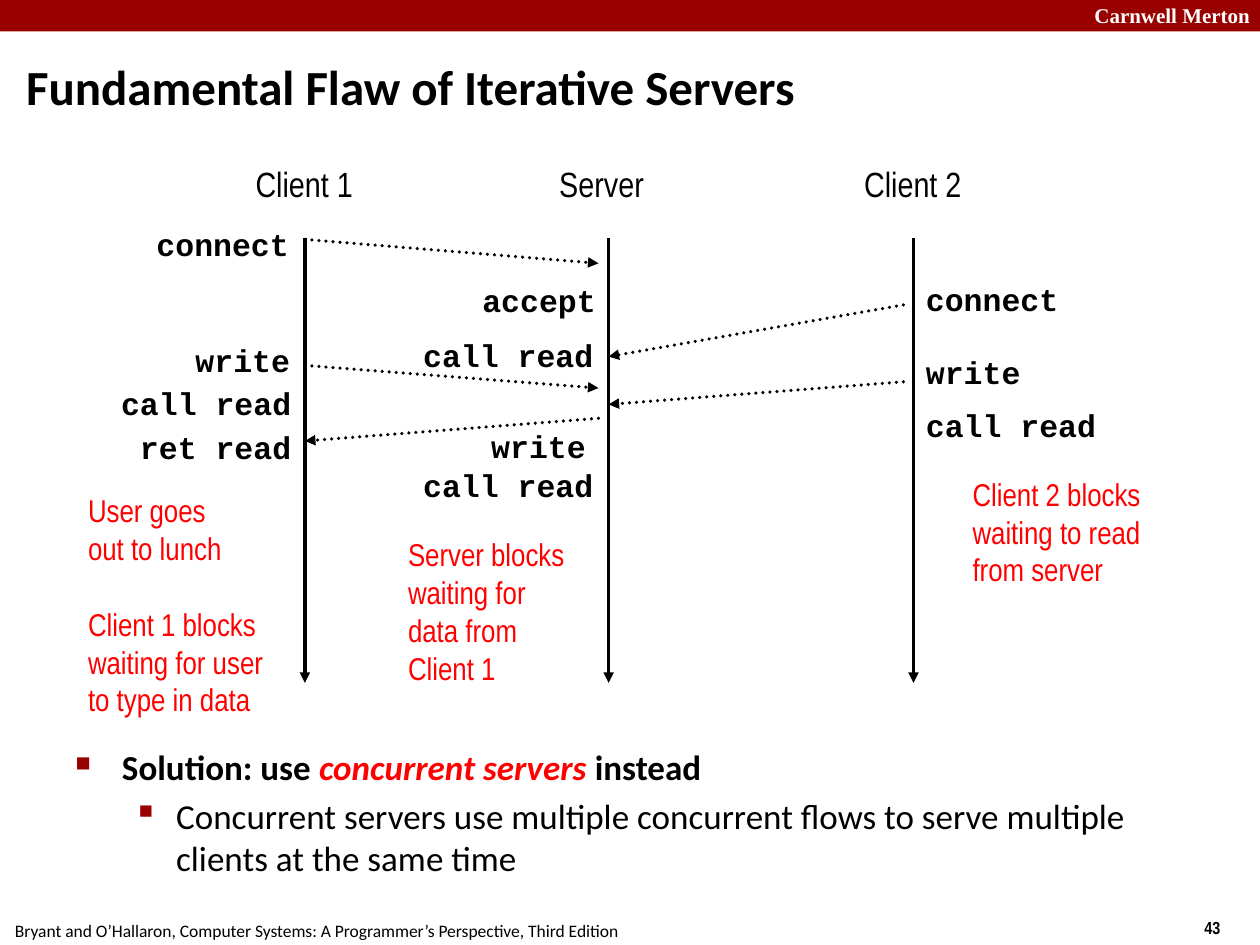
"""Build a slide showing how an iterative server makes a second client wait."""
from lxml.etree import SubElement
from pptx import Presentation
from pptx.dml.color import RGBColor
from pptx.enum.dml import MSO_LINE
from pptx.enum.shapes import MSO_CONNECTOR, MSO_SHAPE
from pptx.enum.text import MSO_ANCHOR, PP_ALIGN
from pptx.oxml.ns import qn
from pptx.util import Inches, Pt

BLACK = RGBColor(0, 0, 0)
WHITE = RGBColor(255, 255, 255)
RED = RGBColor(255, 0, 0)
MAROON = RGBColor(0x99, 0, 0)

deck = Presentation()
deck.slide_width, deck.slide_height = Inches(10), Inches(7.5)
slide = deck.slides.add_slide(deck.slide_layouts[6])


def write(box, lines, size, font, color=BLACK, bold=False, wrap=False, align=PP_ALIGN.LEFT):
    frame = slide.shapes.add_textbox(*map(Inches, box)).text_frame
    frame.word_wrap = wrap
    frame.text = "\n".join(lines)
    for para in frame.paragraphs:
        para.alignment = align
        para.font.size, para.font.name = Pt(size), font
        para.font.bold, para.font.color.rgb = bold, color
    return frame


def arrow(start, end, dash=None):
    line = slide.shapes.add_connector(
        MSO_CONNECTOR.STRAIGHT, *map(Inches, (*start, *end)))
    line.line.color.rgb, line.line.width = BLACK, Pt(2)
    props = line.line._get_or_add_ln()
    if dash:
        line.line.dash_style = dash
        props.set("cap", "rnd")
    SubElement(props, qn("a:tailEnd"), type="triangle")
    SubElement(line._element.spPr, qn("a:effectLst"))


band = slide.shapes.add_shape(MSO_SHAPE.RECTANGLE, 0, 0, Inches(10), Inches(0.25))
band.shadow.inherit = False
band.fill.solid()
band.fill.fore_color.rgb = MAROON
band.line.fill.background()

write((8.42, -0.03, 1.6, 0.3), ["Carnwell Merton"], 12, "Times New Roman", WHITE, True,
      True, PP_ALIGN.RIGHT)
write((9.46, 7.23, 0.75, 0.27), ["43"], 10, "Arial Narrow", bold=True)
write((0.02, 7.25, 5.01, 0.27),
      ["Bryant and O’Hallaron, Computer Systems: A Programmer’s Perspective, Third Edition"],
      10, "Calibri")
title = write((0.11, 0.37, 9.83, 0.63), ["Fundamental Flaw of Iterative Servers"],
              28, "Calibri", bold=True, wrap=True)
title.vertical_anchor = MSO_ANCHOR.MIDDLE

body = write((0.49, 5.87, 9.26, 1.26), [
    "", "Concurrent servers use multiple concurrent flows to serve multiple clients at the same time",
], 20, "Calibri", wrap=True)
point, detail = body.paragraphs
point.font.bold = True
for text in ("Solution: use ", "concurrent servers ", "instead"):
    point.add_run().text = text
stress = point.runs[1].font
stress.italic, stress.color.rgb = True, RED
detail.level = 1
for para, left, hang, gap, mark, scale in (
        (point, 0.38, 0.37, 5.2, "n", 60), (detail, 0.81, 0.31, 4, "§", 110)):
    para.space_before = Pt(gap)
    props = para._p.get_or_add_pPr()
    props.set("marL", str(Inches(left)))
    props.set("indent", str(-Inches(hang)))
    tint = SubElement(props, qn("a:buClr"))
    SubElement(tint, qn("a:srgbClr"), val=str(MAROON))
    SubElement(props, qn("a:buSzPct"), val=str(scale * 1000))
    SubElement(props, qn("a:buFont"), typeface="Wingdings", charset="2")
    SubElement(props, qn("a:buChar"), char=mark)
    props.append(props.find(qn("a:defRPr")))

notes = (
    ((0.6, 3.85, 1.59, 1.9), ["User goes", "out to lunch", "Client 1 blocks",
                              "waiting for user", "to type in data"]),
    ((7.62, 3.72, 1.59, 1), ["Client 2 blocks", "waiting to read", "from server"]),
    ((3.14, 4.2, 1.44, 1.3), ["Server blocks", "waiting for", "data from", "Client 1"]),
)
for box, lines in notes:
    frame = write(box, lines, 18, "Arial Narrow", RED)
    if len(lines) == 5:
        frame.paragraphs[2].space_before = Pt(21.7)

ONE, SERVER, TWO = 2.42, 4.83, 7.25
for x, name in ((ONE, "Client 1"), (SERVER, "Server"), (TWO, "Client 2")):
    write((x - 0.49, 1.24, 1.1, 0.43), [name], 20, "Arial Narrow")
    arrow((x, 1.89), (x, 5.42))

messages = (
    (ONE, 1.9, SERVER - 0.08, 2.09),
    (TWO - 0.08, 2.42, SERVER, 2.83),
    (ONE, 2.9, SERVER - 0.08, 3.08),
    (TWO - 0.08, 3.03, SERVER, 3.21),
    (SERVER - 0.08, 3.32, ONE, 3.5),
)
for x1, y1, x2, y2 in messages:
    arrow((x1, y1), (x2, y2), MSO_LINE.ROUND_DOT)

calls = (
    (PP_ALIGN.RIGHT, (
        (1.14, 1.74, "connect"), (1.45, 2.66, "write"),
        (0.86, 3, "call read"), (1.01, 3.35, "ret read"))),
    (PP_ALIGN.LEFT, (
        (3.73, 2.18, "accept"), (3.26, 2.62, "call read"),
        (3.8, 3.34, "write"), (3.26, 3.65, "call read"),
        (7.25, 2.17, "connect"), (7.25, 2.75, "write"), (7.25, 3.17, "call read"))),
)
for align, group in calls:
    for x, y, name in group:
        width = 0.2 + 0.15 * len(name)
        write((x, y, width, 0.4), [name], 18, "Courier New", bold=True, align=align)

deck.save("out.pptx")
